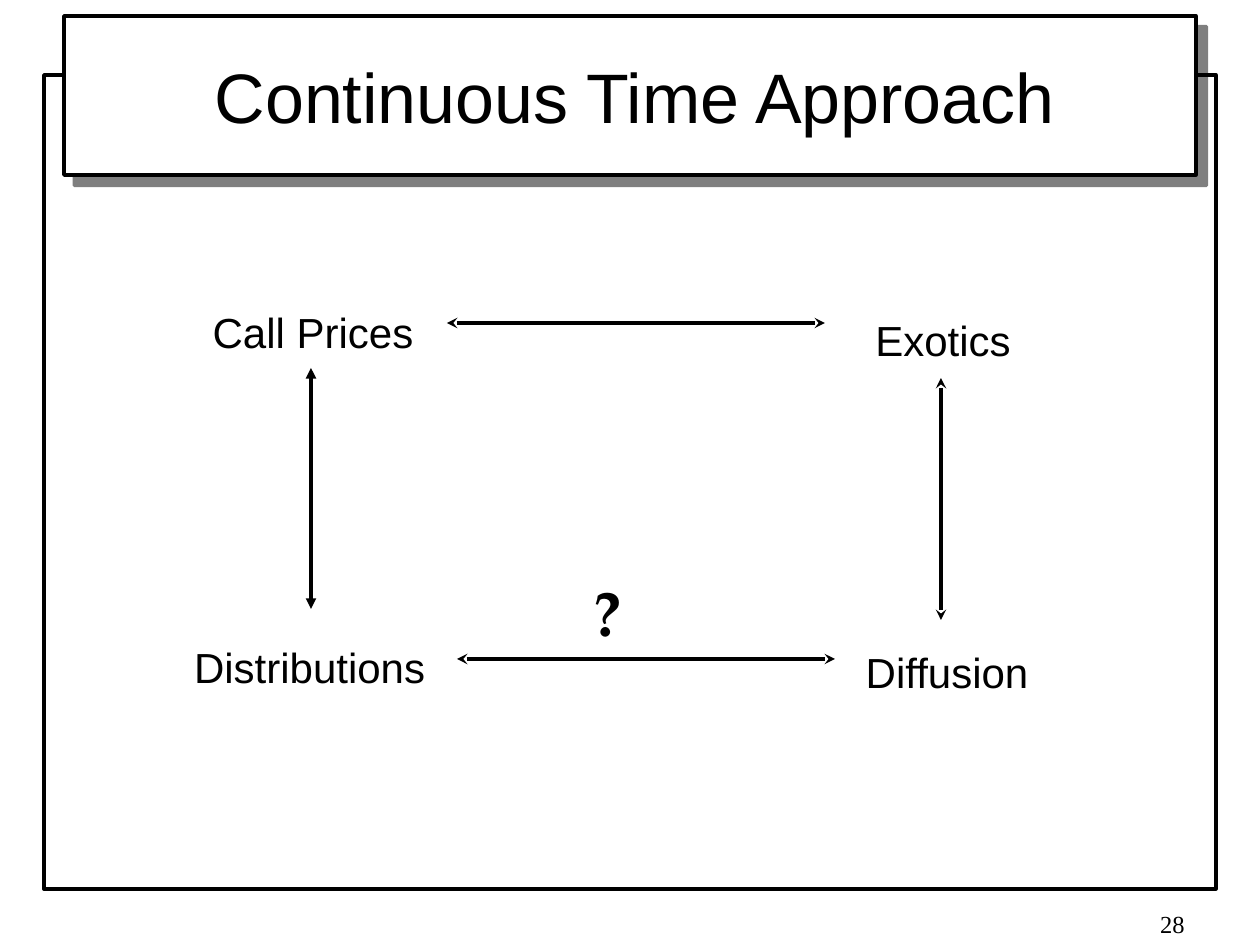
from lxml.etree import SubElement
from pptx import Presentation
from pptx.dml.color import RGBColor
from pptx.enum.shapes import MSO_CONNECTOR, MSO_SHAPE
from pptx.enum.text import MSO_ANCHOR, MSO_AUTO_SIZE, PP_ALIGN
from pptx.oxml import parse_xml
from pptx.oxml.ns import nsdecls, qn
from pptx.util import Emu, Pt

BLACK = RGBColor(0, 0, 0)
WHITE = RGBColor(255, 255, 255)
LINE_WIDTH = Pt(2)


def px(length):
    """Turn pixels, 126 to the inch, into EMU."""
    return Emu(round(length * 914400 / 126))


def add_text(slide, text, box, size, font="Arial", align=PP_ALIGN.CENTER, space_before=0):
    """Add a one-paragraph text box and return its text frame."""
    text_box = slide.shapes.add_textbox(*map(px, box))
    text_frame = text_box.text_frame
    text_frame.word_wrap = True
    text_frame.text = text
    paragraph = text_frame.paragraphs[0]
    paragraph.alignment = align
    paragraph.space_before = Pt(space_before)
    run_font = paragraph.runs[0].font
    run_font.name = font
    run_font.size = Pt(size)
    run_font.color.rgb = BLACK
    return text_frame


presentation = Presentation()
presentation.slide_width = px(1260)
presentation.slide_height = px(945)
slide = presentation.slides.add_slide(presentation.slide_layouts[6])

# Frame and title panel
for box in ((44, 75, 1172, 814), (64, 16, 1132, 159)):
    panel = slide.shapes.add_shape(MSO_SHAPE.RECTANGLE, *map(px, box))
    panel.shadow.inherit = False
    panel.fill.solid()
    panel.fill.fore_color.rgb = WHITE
    panel.line.color.rgb = BLACK
    panel.line.width = LINE_WIDTH

# The title panel, drawn last, casts a shadow down and to the right
effects = panel._element.spPr.find(qn("a:effectLst"))
effects.append(parse_xml(
    f'<a:outerShdw {nsdecls("a")} dist="107950" dir="2700000" algn="ctr" rotWithShape="0">'
    '<a:srgbClr val="000000"><a:alpha val="50000"/></a:srgbClr></a:outerShdw>'))

title = add_text(slide, "Continuous Time Approach", (84, 16, 1101, 158), 40)
title.vertical_anchor = MSO_ANCHOR.MIDDLE

# Concepts at the four corners
concepts = [
    ("Call Prices", (198, 300, 230, 63)),
    ("Exotics", (828, 308, 230, 63)),
    ("Distributions", (174, 635, 271, 63)),
    ("Diffusion", (832, 640, 230, 63)),
]
for name, box in concepts:
    concept = add_text(slide, name, box, 24, space_before=15)
    concept.auto_size = MSO_AUTO_SIZE.SHAPE_TO_FIT_TEXT

# Two-way arrows between neighbouring concepts
arrows = [
    ((311, 368, 311, 609), "triangle"),
    ((941, 378, 941, 620), "stealth"),
    ((447, 323, 825, 323), "stealth"),
    ((457, 659, 835, 659), "stealth"),
]
for ends, head in arrows:
    arrow = slide.shapes.add_connector(MSO_CONNECTOR.STRAIGHT, *map(px, ends))
    arrow.line.color.rgb = BLACK
    arrow.line.width = LINE_WIDTH
    line_xml = arrow.line._get_or_add_ln()
    for end in ("a:headEnd", "a:tailEnd"):
        SubElement(line_xml, qn(end), type=head)
    SubElement(arrow._element.spPr, qn("a:effectLst"))

question = add_text(slide, "?", (498, 567, 218, 88), 36, "TeX Gyre Pagella", space_before=22.5)
question.auto_size = MSO_AUTO_SIZE.SHAPE_TO_FIT_TEXT
question.paragraphs[0].runs[0].font.bold = True

add_text(slide, "28", (903, 903, 294, 66), 14, "Times New Roman", PP_ALIGN.RIGHT)

presentation.save("out.pptx")
